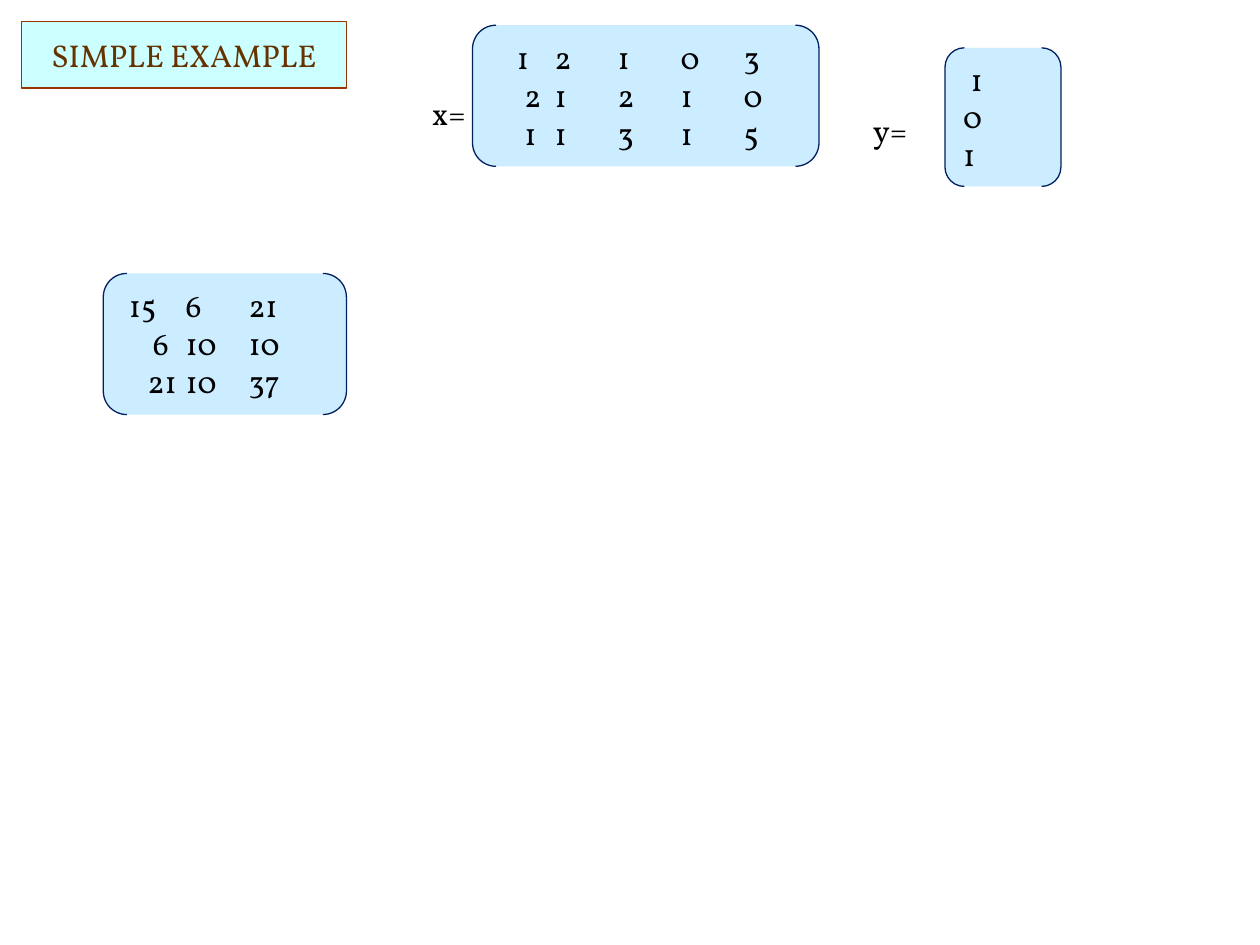
from lxml import etree
from pptx import Presentation
from pptx.dml.color import RGBColor
from pptx.enum.shapes import MSO_SHAPE
from pptx.enum.text import MSO_ANCHOR, MSO_AUTO_SIZE, PP_ALIGN
from pptx.oxml.ns import qn
from pptx.util import Inches, Pt

RECT, PAIR = MSO_SHAPE.RECTANGLE, MSO_SHAPE.DOUBLE_BRACKET
TOP, MIDDLE = MSO_ANCHOR.TOP, MSO_ANCHOR.MIDDLE
LEFT, CENTER = PP_ALIGN.LEFT, PP_ALIGN.CENTER
GROW = MSO_AUTO_SIZE.SHAPE_TO_FIT_TEXT

deck = Presentation()
deck.slide_width, deck.slide_height = Inches(10), Inches(7.5)
slide = deck.slides.add_slide(deck.slide_layouts[6])
shapes = slide.shapes


def style(par, ink, align=LEFT):
    par.alignment = align
    par.font.name = "Vollkorn"
    par.font.size = Pt(18)
    par.font.color.rgb = RGBColor.from_string(ink)


def panel(kind, box, fill, line, anchor):
    shape = shapes.add_shape(kind, *map(Inches, box))
    shape.shadow.inherit = False
    shape.fill.solid()
    shape.fill.fore_color.rgb = RGBColor.from_string(fill)
    shape.line.color.rgb = RGBColor.from_string(line)
    shape.line.width = Pt(0.75)
    shape.text_frame.word_wrap = True
    shape.text_frame.vertical_anchor = anchor
    return shape.text_frame


title = panel(RECT, (0.17, 0.17, 2.58, 0.53), "CCFFFF", "993300", MIDDLE)
title.text = "SIMPLE EXAMPLE"
style(title.paragraphs[0], "663300", CENTER)

wide = [0.2 + 0.37 * col for col in range(5)]
even = [0.26 + 0.36 * col for col in range(5)]
grids = [
    ((3.75, 0.2, 2.75, 1.12),
     [("1 2 1 0 3", wide), ("2 1 2 1 0", even), ("1 1 3 1 5", even)]),
    ((7.5, 0.38, 0.92, 1.1),
     [("1", [0.06]), ("0", [0]), ("1", [0])]),
    ((0.82, 2.17, 1.93, 1.12),
     [("15 6 21", [0.05, 0.51, 0.85]),
      ("6 10 10", [0.24, 0.58, 1.03]),
      ("21 10 37", [0.2, 0.63, 1.08])]),
]
for box, rows in grids:
    frame = panel(PAIR, box, "CCECFF", "002060", TOP)
    frame.auto_size = GROW
    frame.text = "\n".join("\t".join(nums.split()) for nums, stops in rows)
    for par, (nums, stops) in zip(frame.paragraphs, rows):
        style(par, "000000")
        props = par._p.get_or_add_pPr()
        props.set("marL", "0")
        props.set("indent", str(Inches(stops[0])))
        if stops[1:]:
            tabs = etree.Element(qn("a:tabLst"))
            for stop in stops[1:]:
                etree.SubElement(tabs, qn("a:tab"), pos=str(Inches(stop)), algn="l")
            props.insert(0, tabs)

for name, box in [("x=", (3.33, 0.7, 0.48, 0.4)), ("y=", (6.83, 0.83, 0.49, 0.4))]:
    frame = shapes.add_textbox(*map(Inches, box)).text_frame
    frame.word_wrap = False
    frame.auto_size = GROW
    frame.text = name
    style(frame.paragraphs[0], "000000")

deck.save("out.pptx")
